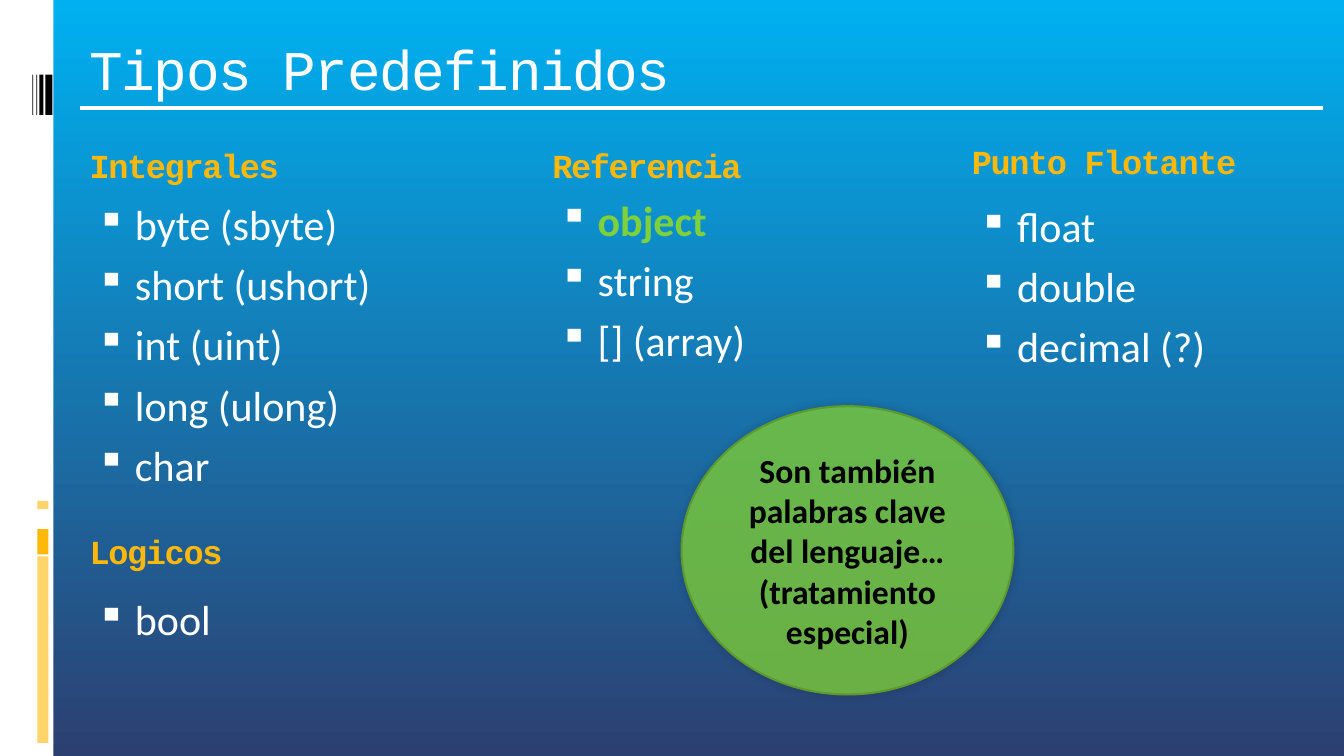
"""Build the slide that groups the predefined types by family."""
from lxml.etree import SubElement
from pptx import Presentation
from pptx.dml.color import RGBColor
from pptx.enum.shapes import MSO_CONNECTOR, MSO_SHAPE
from pptx.enum.text import MSO_ANCHOR, PP_ALIGN
from pptx.oxml.ns import qn
from pptx.util import Inches, Pt

WHITE, BLACK, AMBER, PALE_AMBER, GREEN = "FFFFFF", "000000", "FEB80A", "FED46B", "7FD13B"


def color(hex_code):
    return RGBColor.from_string(hex_code)


def add_text(box, lines, size, font, hex_code, bold=False):
    frame = box.text_frame
    frame.word_wrap = True
    frame.text = "\n".join(lines)
    for paragraph in frame.paragraphs:
        run_font = paragraph.runs[0].font
        run_font.name, run_font.size, run_font.bold = font, Pt(size), bold
        run_font.color.rgb = color(hex_code)
    return frame


presentation = Presentation()
presentation.slide_width, presentation.slide_height = Inches(13.33), Inches(7.5)
slide = presentation.slides.add_slide(presentation.slide_layouts[6])
shapes = slide.shapes

background = slide.background.fill
background.gradient()
background.gradient_angle = 270
for stop, hex_code in zip(background.gradient_stops, ("00B0F0", "2C3F71")):
    stop.color.rgb = color(hex_code)

side_bars = [
    (0, 0, 0.53, 7.5, WHITE),
    (0.37, 5.52, 0.11, 1.85, PALE_AMBER),
    (0.37, 5.25, 0.11, 0.25, AMBER),
    (0.37, 5.07, 0.11, 0.15, WHITE),
    (0.37, 4.97, 0.11, 0.08, PALE_AMBER),
    (0.45, 0.74, 0.07, 0.4, BLACK),
    (0.39, 0.74, 0.04, 0.4, BLACK),
    (0.36, 0.74, 0.01, 0.4, BLACK),
    (0.32, 0.74, 0.01, 0.4, BLACK),
]
for left, top, width, height, hex_code in side_bars:
    bar = shapes.add_shape(MSO_SHAPE.RECTANGLE, Inches(left), Inches(top), Inches(width), Inches(height))
    bar.shadow.inherit = False
    bar.fill.solid()
    bar.fill.fore_color.rgb = color(hex_code)
    bar.line.fill.background()

rule = shapes.add_connector(MSO_CONNECTOR.STRAIGHT, Inches(0.79), Inches(1.07), Inches(13.12), Inches(1.07))
rule.line.color.rgb = color(WHITE)
rule.line.width = Pt(3)
SubElement(rule._element.spPr, qn("a:effectLst"))

headings = [
    ("Tipos Predefinidos", 0.79, 0.2, 11.33, 1, 40, WHITE, False, 0.14),
    ("Integrales", 0.79, 1.33, 2.76, 0.69, 24, AMBER, True, 0.11),
    ("Referencia", 5.38, 1.33, 2.76, 0.69, 24, AMBER, True, 0.11),
    ("Punto Flotante", 9.54, 1.29, 2.93, 0.69, 24, AMBER, True, 0.11),
    ("Logicos", 0.79, 5.16, 1.97, 0.69, 24, AMBER, True, 0.11),
]
for text, left, top, width, height, size, hex_code, bold, inset in headings:
    box = shapes.add_textbox(Inches(left), Inches(top), Inches(width), Inches(height))
    frame = add_text(box, [text], size, "Courier New", hex_code, bold)
    frame.margin_top = Inches(inset)
    frame.paragraphs[0].runs[0].font._element.set("spc", "-100")

type_lists = [
    (["byte (sbyte)", "short (ushort)", "int (uint)", "long (ulong)", "char"], 0.79, 1.92, 3.37, 3),
    (["object", "string", "[] (array)"], 5.38, 1.88, 3.37, 2.13),
    (["float", "double", "decimal (?)"], 9.54, 1.94, 3.37, 2.13),
    (["bool"], 0.79, 5.84, 1.97, 0.88),
]
for names, left, top, width, height in type_lists:
    box = shapes.add_textbox(Inches(left), Inches(top), Inches(width), Inches(height))
    frame = add_text(box, names, 30, "Calibri", WHITE)
    for paragraph in frame.paragraphs:
        paragraph.space_before = Pt(7)
        properties = paragraph._p.get_or_add_pPr()
        properties.set("marL", str(Inches(0.45)))
        properties.set("indent", str(Inches(-0.38)))
        bullet_color = SubElement(properties, qn("a:buClr"))
        SubElement(bullet_color, qn("a:srgbClr"), val=WHITE)
        SubElement(properties, qn("a:buSzPct"), val="95000")
        SubElement(properties, qn("a:buChar"), char="▪")
        if paragraph.text == "object":
            paragraph.runs[0].font.bold = True
            paragraph.runs[0].font.color.rgb = color(GREEN)

note = shapes.add_shape(MSO_SHAPE.OVAL, Inches(6.76), Inches(4.03), Inches(3.29), Inches(2.86))
note.fill.solid()
note.fill.fore_color.rgb = color(GREEN)
note_color = note._element.spPr.find(qn("a:solidFill")).find(qn("a:srgbClr"))
SubElement(note_color, qn("a:alpha"), val="78000")
note.line.color.rgb = color("5E9B2C")
note.line.width = Pt(1.5)
note.shadow.inherit = False
effects = note._element.spPr.find(qn("a:effectLst"))
shadow = SubElement(effects, qn("a:outerShdw"), blurRad=str(Pt(6)), dist="0", dir="18900000")
shadow_color = SubElement(shadow, qn("a:srgbClr"), val=BLACK)
SubElement(shadow_color, qn("a:alpha"), val="20000")
note_text = "Son también palabras clave del lenguaje… (tratamiento especial)"
frame = add_text(note, [note_text], 24, "Calibri", BLACK, True)
frame.vertical_anchor = MSO_ANCHOR.MIDDLE
frame.paragraphs[0].alignment = PP_ALIGN.CENTER

presentation.save("out.pptx")
